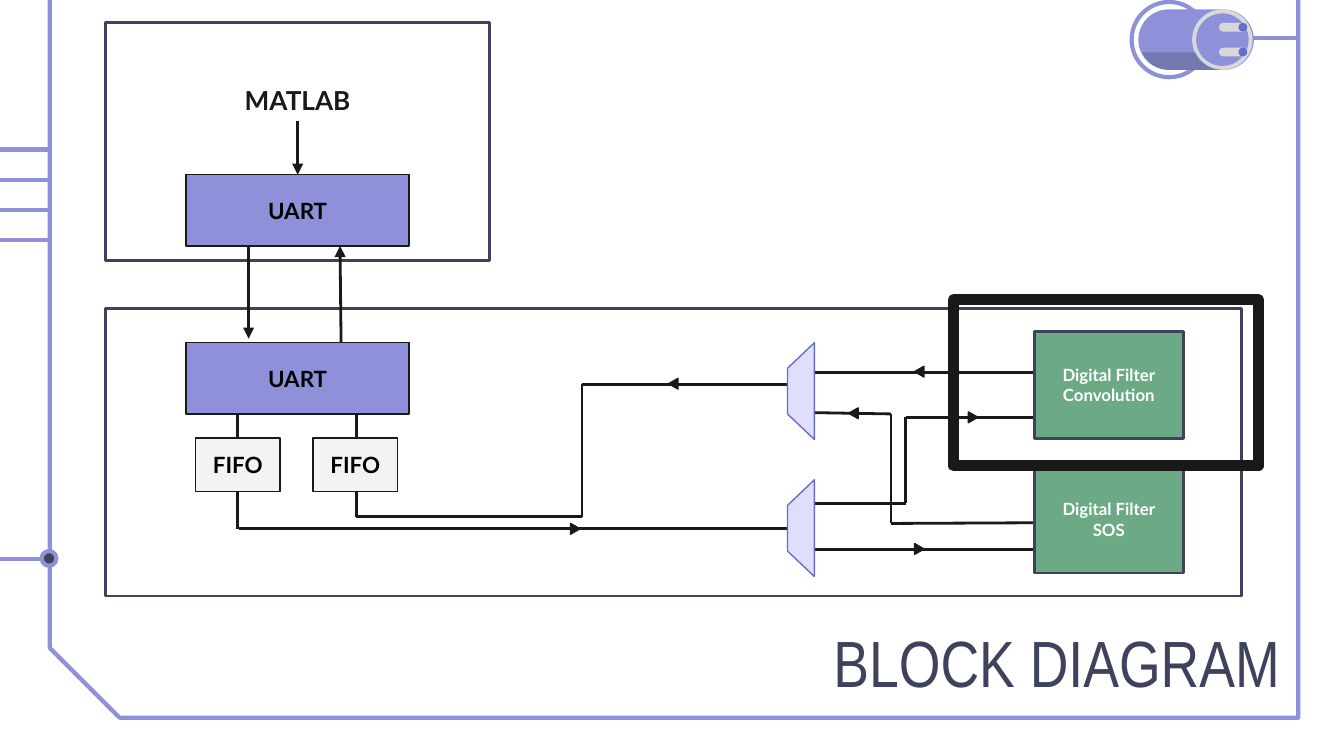
from math import cos, radians, sin
from lxml.etree import SubElement
from pptx import Presentation
from pptx.dml.color import RGBColor
from pptx.enum.shapes import MSO_CONNECTOR as Link, MSO_SHAPE as Kind
from pptx.enum.text import MSO_ANCHOR as Anchor, PP_ALIGN as Align
from pptx.oxml.ns import qn
from pptx.util import Inches, Pt


class Theme:
    ink = "191919"
    navy = "3F425C"
    violet = "8E91DA"
    deep_violet = "646DC9"
    lilac = "DFDEFC"
    green = "6BAA85"
    metal = "D8D8D8"
    pale = "F3F3F3"
    white = "FFFFFF"
    black = "000000"
    shade = "484C69"
    body_font = "Lato"
    title_font = "Arial Narrow"
    title_size = 35
    heading_size = 14
    block_size = 12
    filter_size = 9
    hair, thin, rail, heavy = 0.75, 1.5, 2.25, 6


deck = Presentation()
deck.slide_width = Inches(10)
deck.slide_height = deck.slide_width * 9 // 16
slide = deck.slides.add_slide(deck.slide_layouts[6])
shapes = slide.shapes
COL = deck.slide_width / 100
ROW = deck.slide_height / 56.25


def block(kind, left, top, width, height, fill=None, line=None, weight=Theme.hair,
          text=None, size=Theme.block_size, color=Theme.black, font=Theme.body_font,
          bold=True, align=Align.CENTER, anchor=Anchor.MIDDLE):
    frame = [round(v) for v in (left * COL, top * ROW, width * COL, height * ROW)]
    if kind is None:
        item = shapes.add_textbox(*frame)
    else:
        item = shapes.add_shape(kind, *frame)
        item.shadow.inherit = False
        if fill:
            item.fill.solid()
            item.fill.fore_color.rgb = RGBColor.from_string(fill)
        else:
            item.fill.background()
        if line:
            item.line.color.rgb = RGBColor.from_string(line)
            item.line.width = Pt(weight)
            if kind == Kind.RECTANGLE and weight > Theme.hair:
                SubElement(item.line._get_or_add_ln(), qn("a:round"))
        else:
            item.line.fill.background()
    if text:
        body = item.text_frame
        body.word_wrap = True
        body.vertical_anchor = anchor
        body.margin_left = body.margin_right = body.margin_top = body.margin_bottom = Inches(0.1)
        paragraph = body.paragraphs[0]
        paragraph.text = text
        paragraph.alignment = align
        paragraph.font.name = font
        paragraph.font.size = Pt(size)
        paragraph.font.bold = bold
        paragraph.font.color.rgb = RGBColor.from_string(color)
    return item


def wire(x1, y1, x2, y2, color=Theme.ink, weight=Theme.thin, arrow=False):
    link = shapes.add_connector(Link.STRAIGHT, round(x1 * COL), round(y1 * ROW),
                                round(x2 * COL), round(y2 * ROW))
    link.line.color.rgb = RGBColor.from_string(color)
    link.line.width = Pt(weight)
    if arrow:
        SubElement(link.line._get_or_add_ln(), qn("a:tailEnd"), type="triangle")
    SubElement(link._element.spPr, qn("a:effectLst"))
    return link


border = [(3.7, -0.5), (3.7, 48.2), (8.9, 53.4), (96.6, 53.4), (96.6, -0.1)]
border_path = shapes.build_freeform(border[0][0] * COL, border[0][1] * ROW)
border_path.add_line_segments([(x * COL, y * ROW) for x, y in border[1:]], close=False)
border_line = border_path.convert_to_shape()
border_line.shadow.inherit = False
border_line.fill.background()
border_line.line.color.rgb = RGBColor.from_string(Theme.violet)
border_line.line.width = Pt(Theme.rail)

for rail_y in [11.13 + 2.25 * i for i in range(4)] + [41.6]:
    wire(3.8, rail_y, -0.1, rail_y, Theme.violet, Theme.rail)
block(Kind.OVAL, 3.1, 41, 1.1, 1.1, Theme.navy, Theme.violet, Theme.rail)

wire(91.3, 2.85, 96.7, 2.85, Theme.violet, Theme.rail)
block(Kind.OVAL, 84.2, 0.15, 5.6, 5.6, line=Theme.violet, weight=Theme.rail)
plug_body = block(Kind.ROUNDED_RECTANGLE, 84.7, 0.7, 8.6, 4.5, Theme.violet)
plug_body.adjustments[0] = 0.5
block(Kind.OVAL, 88.7, 0.7, 4.5, 4.5, Theme.metal)
block(Kind.OVAL, 89, 1, 3.9, 3.9, Theme.violet)
for pin_y in (1.7, 3.55):
    pin = block(Kind.ROUNDED_RECTANGLE, 90.7, pin_y, 2.1, 0.65, Theme.metal)
    pin.adjustments[0] = 0.5
    block(Kind.OVAL, 92.15, pin_y, 0.65, 0.65, Theme.deep_violet)

arc = [(2.25 * cos(radians(a)), 2.95 + 2.25 * sin(radians(a))) for a in range(155, 89, -5)]
shade_edge = [(87 + x, y) for x, y in arc] + [(91 + x, y) for x, y in reversed(arc)]
shade_path = shapes.build_freeform(shade_edge[0][0] * COL, shade_edge[0][1] * ROW)
shade_path.add_line_segments([(x * COL, y * ROW) for x, y in shade_edge[1:]])
plug_shade = shade_path.convert_to_shape()
plug_shade.shadow.inherit = False
plug_shade.fill.solid()
plug_shade.fill.fore_color.rgb = RGBColor.from_string(Theme.shade)
plug_shade.line.fill.background()
shade_color = plug_shade._element.spPr.find(".//" + qn("a:srgbClr"))
SubElement(shade_color, qn("a:alpha"), val="36000")

block(None, 17.25, 45.3, 79, 6.3, text="BLOCK DIAGRAM", size=Theme.title_size,
      color=Theme.navy, font=Theme.title_font, bold=False, align=Align.RIGHT, anchor=Anchor.TOP)

block(Kind.RECTANGLE, 7.85, 1.7, 28.6, 17.7, Theme.white, Theme.navy, Theme.thin)
block(Kind.RECTANGLE, 7.85, 22.95, 84.5, 21.4, Theme.white, Theme.navy, Theme.thin)
matlab = block(None, 16.45, 5.9, 11.4, 3.1, text="MATLAB",
               size=Theme.heading_size, color=Theme.ink)

wire(18.5, 17.3, 18.5, 25.2, arrow=True)
wire(25.4, 27.3, 25.3, 18.3, arrow=True)
for route in (
    [(26.5, 29.7), (26.5, 38.45), (43.3, 38.45), (43.3, 28.6), (59.9, 28.6)],
    [(17.75, 39.3), (58.6, 39.3)],
    [(60.6, 40.9), (77, 40.9)],
    [(60.6, 37.45), (67.4, 37.45), (67.4, 31.05), (76.9, 31.05)],
    [(76.9, 38.9), (66.3, 38.95), (66.3, 30.8), (60.2, 30.7)],
    [(76.9, 27.7), (60.3, 27.7)],
):
    for start, end in zip(route, route[1:]):
        wire(*start, *end)

host_uart, board_uart = [
    block(Kind.RECTANGLE, 13.85, top, 16.6, 5.3, Theme.violet, Theme.ink, text="UART")
    for top in (13, 25.5)]
receive_fifo, send_fifo = [
    block(Kind.RECTANGLE, left, 32.6, 6.3, 4, Theme.pale, Theme.ink, text="FIFO")
    for left in (14.55, 23.3)]
for top, method in ((24.65, "Convolution"), (34.65, "SOS")):
    block(Kind.RECTANGLE, 76.95, top, 11.1, 8, Theme.green, Theme.navy, Theme.thin,
          "Digital Filter\n" + method, Theme.filter_size, Theme.white)

matlab_link = wire(22.15, 9, 22.15, 13, arrow=True)
matlab_link.begin_connect(matlab, 2)
matlab_link.end_connect(host_uart, 0)
wire(17.7, 32.6, 17.7, 30.8).begin_connect(receive_fifo, 0)
wire(17.7, 36.6, 17.7, 39.4).begin_connect(receive_fifo, 2)

for top in (28.1, 38.3):
    mux = block(Kind.TRAPEZOID, 56, top, 7.2, 2, Theme.lilac, Theme.deep_violet)
    mux.adjustments[0] = 0.95
    mux.rotation = 270

for left, top, turn in ((42.4, 39, 90), (68, 40.5, 90), (72, 30.7, 90),
                        (63.1, 30.4, 270), (68, 27.3, 270), (49.7, 28.2, 270)):
    block(Kind.ISOSCELES_TRIANGLE, left, top, 0.8, 0.7, Theme.ink, Theme.ink).rotation = turn

block(Kind.RECTANGLE, 70.95, 22.3, 22.7, 12.35, line=Theme.ink, weight=Theme.heavy)

deck.save("out.pptx")
